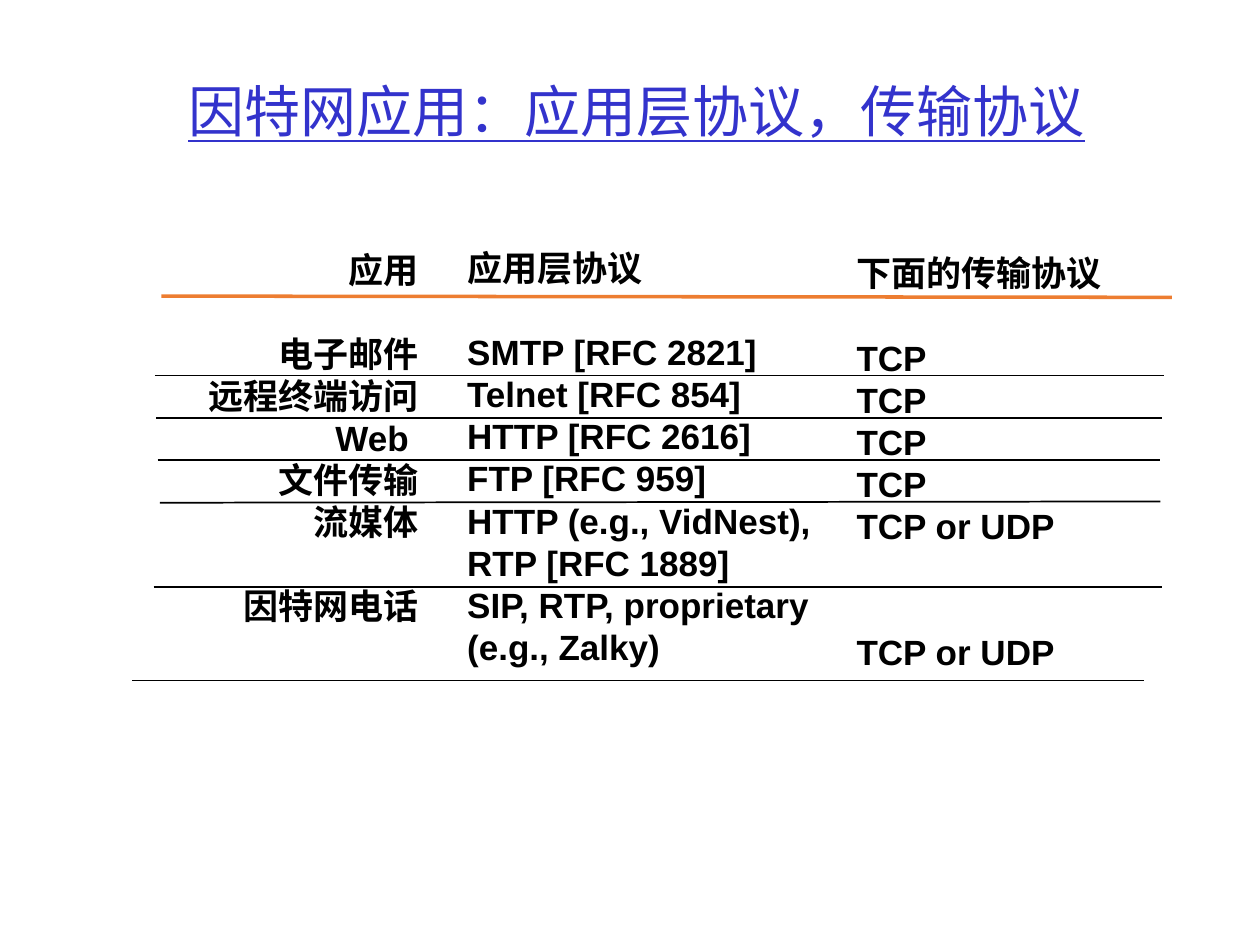
from dataclasses import dataclass

from lxml.etree import SubElement
from pptx import Presentation
from pptx.dml.color import RGBColor
from pptx.enum.shapes import MSO_CONNECTOR
from pptx.enum.text import MSO_ANCHOR, MSO_AUTO_SIZE, PP_ALIGN
from pptx.oxml.ns import qn
from pptx.slide import Slide
from pptx.util import Inches, Pt


@dataclass(frozen=True)
class Theme:
    blue: RGBColor = RGBColor(0x33, 0x33, 0xCC)
    black: RGBColor = RGBColor(0, 0, 0)
    orange: RGBColor = RGBColor(0xED, 0x7D, 0x31)
    head: str = "Comic Neue"
    body: str = "Arial"
    large: int = 32
    small: int = 20
    pitch: int = 24


@dataclass(frozen=True)
class Entry:
    text: str
    skip: int = 0  # empty rows above


@dataclass(frozen=True)
class Column:
    box: tuple[float, float, float, float]
    entries: list[Entry]
    align: PP_ALIGN = PP_ALIGN.LEFT
    inset: float = 0.38  # one row below the usual margin
    wrap: bool = False


@dataclass(frozen=True)
class Rule:
    left: float
    right: float
    start: float
    end: float
    color: RGBColor
    width: float = 1


THEME = Theme()

COLUMNS = [
    Column((1.54, 1.92, 1.88, 3.5), [
        Entry("应用"), Entry("电子邮件", 1), Entry("远程终端访问"),
        Entry("Web "), Entry("文件传输"), Entry("流媒体"),
        Entry("因特网电话", 1),
    ], PP_ALIGN.RIGHT, 0.05),
    Column((3.61, 1.58, 3.14, 3.8), [
        Entry("应用层协议"), Entry("SMTP [RFC 2821]", 1),
        Entry("Telnet [RFC 854]"), Entry("HTTP [RFC 2616]"),
        Entry("FTP [RFC 959]"),
        Entry("HTTP (e.g., VidNest), \nRTP [RFC 1889]"),
        Entry("SIP, RTP, proprietary"), Entry("(e.g., Zalky)"),
    ]),
    Column((6.7, 1.62, 2.87, 3.8), [
        Entry("下面的传输协议"), Entry("TCP", 1), Entry("TCP"),
        Entry("TCP"), Entry("TCP"), Entry("TCP or UDP"),
        Entry("TCP or UDP", 2),
    ], wrap=True),
]

RULES = [
    Rule(1.28, 9.3, 2.35, 2.36, THEME.orange, 2),
    Rule(1.23, 9.24, 2.98, 2.98, THEME.black),
    Rule(1.24, 9.22, 3.32, 3.32, THEME.black),
    Rule(1.25, 9.21, 3.65, 3.65, THEME.black),
    Rule(1.27, 9.21, 3.99, 3.98, THEME.black),
    Rule(1.22, 9.22, 4.66, 4.66, THEME.black),
    Rule(1.05, 9.08, 5.4, 5.4, THEME.black),
]


def add_title(slide: Slide, text: str) -> None:
    title = slide.shapes.title
    title.left, title.top = Inches(0.27), Inches(0.25)
    title.width, title.height = Inches(9.57), Inches(1.25)
    frame = title.text_frame
    frame.auto_size = MSO_AUTO_SIZE.NONE
    frame.vertical_anchor = MSO_ANCHOR.MIDDLE
    para = frame.paragraphs[0]
    para.alignment = PP_ALIGN.CENTER
    run = para.add_run()
    run.text = text
    run.font.name, run.font.size = THEME.head, Pt(THEME.large)
    run.font.color.rgb = THEME.blue
    run.font.underline = True


def add_column(slide: Slide, col: Column) -> None:
    frame = slide.shapes.add_textbox(*map(Inches, col.box)).text_frame
    frame.word_wrap = col.wrap
    frame.margin_top = Inches(col.inset)
    for i, entry in enumerate(col.entries):
        para = frame.add_paragraph() if i else frame.paragraphs[0]
        para.alignment = col.align
        para.line_spacing = Pt(THEME.pitch)
        if entry.skip:
            para.space_before = Pt(entry.skip * THEME.pitch)
        for j, part in enumerate(entry.text.split("\n")):
            if j:
                para.add_line_break()
            run = para.add_run()
            run.text = part
            run.font.name, run.font.size = THEME.body, Pt(THEME.small)
            run.font.bold = True
            run.font.color.rgb = THEME.black


def add_rule(slide: Slide, rule: Rule) -> None:
    line = slide.shapes.add_connector(
        MSO_CONNECTOR.STRAIGHT, Inches(rule.left), Inches(rule.start),
        Inches(rule.right), Inches(rule.end))
    line.line.color.rgb = rule.color
    line.line.width = Pt(rule.width)
    SubElement(line._element.spPr, qn("a:effectLst"))


def main() -> None:
    deck = Presentation()
    deck.slide_width, deck.slide_height = Inches(10), Inches(7.5)
    slide = deck.slides.add_slide(deck.slide_layouts[5])

    # Heading
    add_title(slide, "因特网应用：应用层协议，传输协议")

    # Three text columns
    for col in COLUMNS:
        add_column(slide, col)

    # Row rules
    for rule in RULES:
        add_rule(slide, rule)

    deck.save("out.pptx")


if __name__ == "__main__":
    main()
